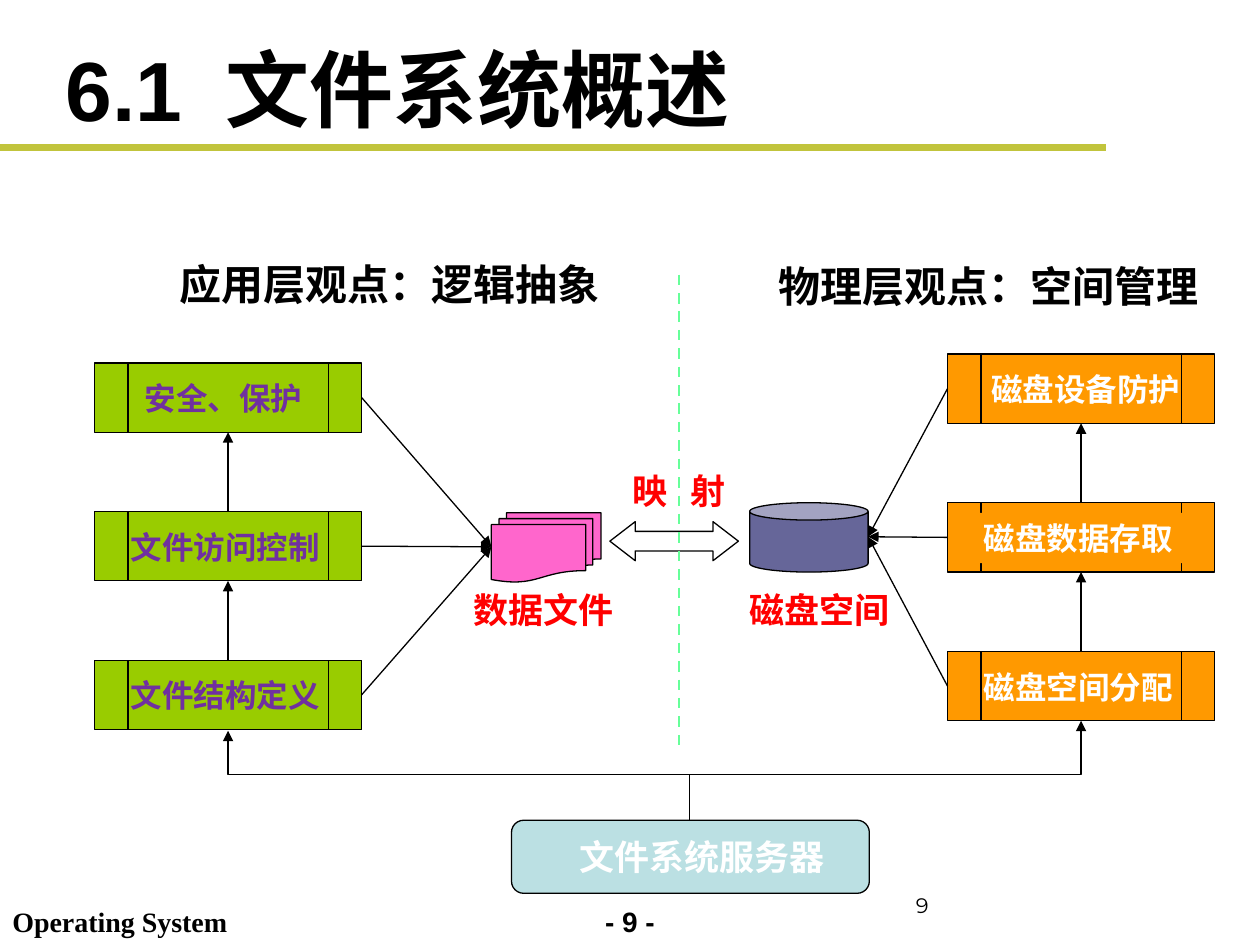
"""Build the file system overview slide: logical view, physical view and their mapping."""
from dataclasses import dataclass

from lxml.etree import SubElement
from pptx import Presentation
from pptx.dml.color import RGBColor
from pptx.enum.dml import MSO_LINE
from pptx.enum.shapes import MSO_CONNECTOR as LINK, MSO_SHAPE as SHAPE
from pptx.enum.text import MSO_ANCHOR as ANCHOR, MSO_AUTO_SIZE as FIT, PP_ALIGN as ALIGN
from pptx.oxml.ns import qn
from pptx.util import Inches, Pt


@dataclass(frozen=True)
class Theme:
    black: str = "000000"
    white: str = "FFFFFF"
    rule: str = "C1C43C"
    server: str = "BBE0E3"
    logical: str = "99CC00"
    logical_text: str = "7030A0"
    physical: str = "FF9900"
    files: str = "FF66CC"
    disk: str = "666699"
    caption: str = "FF0000"
    divider: str = "66FF99"
    title_size: int = 48
    heading_size: int = 24
    caption_size: int = 20
    step_size: int = 18
    footer_size: int = 16
    number_size: int = 12
    outline: float = 0.75


theme = Theme()
prs = Presentation()
prs.slide_width, prs.slide_height = Inches(10), Inches(7.5)
slide = prs.slides.add_slide(prs.slide_layouts[6])


def label(text, left, top, width, height, size, color, font="Arial", bold=True, tab=None):
    box = slide.shapes.add_textbox(Inches(left), Inches(top), Inches(width), Inches(height))
    frame = box.text_frame
    frame.word_wrap = False
    frame.auto_size = FIT.SHAPE_TO_FIT_TEXT
    paragraph = frame.paragraphs[0]
    paragraph.text = text
    if tab:
        stops = SubElement(paragraph._p.get_or_add_pPr(), qn("a:tabLst"))
        SubElement(stops, qn("a:tab"), pos=str(Inches(tab)), algn="l")
    paragraph.font.name, paragraph.font.size, paragraph.font.bold = font, Pt(size), bold
    paragraph.font.color.rgb = RGBColor.from_string(color)
    return box


def link(kind, begin, end, color=theme.black, width=theme.outline, arrow=True):
    line = slide.shapes.add_connector(kind, *(Inches(v) for v in (*begin, *end)))
    line.line.color.rgb = RGBColor.from_string(color)
    line.line.width = Pt(width)
    if arrow:
        SubElement(line.line._get_or_add_ln(), qn("a:tailEnd"), type="triangle")
    SubElement(line._element.spPr, qn("a:effectLst"))
    return line


page = label("- 9 -", 4.5, 7.13, 1, 0.37, theme.footer_size, theme.black)
page.text_frame.word_wrap = True
page.text_frame.paragraphs[0].alignment = ALIGN.CENTER
label("Operating System", 0, 7.13, 1.91, 0.37, theme.footer_size, theme.black, "Times New Roman")
link(LINK.STRAIGHT, (0, 1.17), (8.78, 1.17), theme.rule, 4, arrow=False)
number = label("9", 7.17, 6.83, 2.33, 0.5, theme.number_size, theme.black, "Montserrat", False)
title = label("6.1\t文件系统概述", 0.42, 0.33, 8.58, 0.74, theme.title_size, theme.black, tab=1.27)
for box, anchor in ((number, ANCHOR.BOTTOM), (title, ANCHOR.MIDDLE)):
    box.text_frame.auto_size = FIT.NONE
    box.text_frame.word_wrap = True
    box.text_frame.vertical_anchor = anchor

step_w, step_h, pitch = 2.12, 0.55, 1.18
logical_left, logical_top = 0.75, 2.88
physical_left, physical_top = 7.52, 2.81
outlined = [
    (SHAPE.FLOWCHART_ALTERNATE_PROCESS, 4.06, 6.51, 2.84, 0.58, theme.server),
    (SHAPE.FLOWCHART_MULTIDOCUMENT, 3.9, 4.07, 0.87, 0.55, theme.files),
    (SHAPE.CAN, 5.95, 3.99, 0.94, 0.55, theme.disk),
    (SHAPE.LEFT_RIGHT_ARROW, 4.84, 4.14, 1.02, 0.31, theme.white),
]
for left, top, color in (
    (logical_left, logical_top, theme.logical),
    (physical_left, physical_top, theme.physical),
):
    outlined += [
        (SHAPE.FLOWCHART_PREDEFINED_PROCESS, left, top + row * pitch, step_w, step_h, color)
        for row in range(3)
    ]
drawn = []
for kind, left, top, width, height, color in outlined:
    shape = slide.shapes.add_shape(kind, Inches(left), Inches(top), Inches(width), Inches(height))
    shape.shadow.inherit = False
    shape.fill.solid()
    shape.fill.fore_color.rgb = RGBColor.from_string(color)
    shape.line.color.rgb = RGBColor.from_string(theme.black)
    shape.line.width = Pt(theme.outline)
    drawn.append(shape)
server, files, disk, mapping = drawn[:4]
logical_steps, physical_steps = drawn[4:7], drawn[7:]
mapping.adjustments[1] = 0.65

step_columns = (
    (logical_left, logical_top, theme.logical_text,
     (("安全、保护", 0.3), ("文件访问控制", 0.19), ("文件结构定义", 0.19))),
    (physical_left, physical_top, theme.white,
     (("磁盘设备防护", 0.25), ("磁盘数据存取", 0.19), ("磁盘空间分配", 0.19))),
)
step_labels = {}
for left, top, color, steps in step_columns:
    for row, (text, indent) in enumerate(steps):
        step_labels[text] = label(
            text, left + indent, top + row * pitch + 0.08, 0.23 + 0.25 * len(text), 0.4,
            theme.step_size, color)
server_label = label("文件系统服务器", 4.5, 6.58, 2.18, 0.44, theme.caption_size, theme.white)
for box, color in ((step_labels["磁盘数据存取"], theme.physical), (server_label, theme.server)):
    box.fill.solid()
    box.fill.fore_color.rgb = RGBColor.from_string(color)

for steps, side, target in ((logical_steps, 3, (3.9, 4.34)), (physical_steps, 1, (6.89, 4.26))):
    for step in steps:
        link(LINK.STRAIGHT, target, target).begin_connect(step, side)
    for upper, lower in zip(steps, steps[1:]):
        rise = link(LINK.STRAIGHT, target, target)
        rise.begin_connect(lower, 0)
        rise.end_connect(upper, 2)

start_x, start_y, bend_y = 5.47, 6.51, 6.15
for end_x, end_y in ((1.81, 5.8), (8.58, 5.72)):
    mid_x, mid_y = (start_x + end_x) / 2, (start_y + end_y) / 2
    dx, dy = start_x - mid_x, start_y - mid_y
    elbow = link(LINK.ELBOW, (mid_x - dy, mid_y + dx), (mid_x + dy, mid_y - dx))
    properties = elbow._element.spPr
    properties.find(qn("a:xfrm")).set("rot", str(270 * 60000))
    bend = round((start_y - bend_y) / (start_y - end_y) * 100000)
    guides = properties.find(qn("a:prstGeom")).find(qn("a:avLst"))
    SubElement(guides, qn("a:gd"), name="adj1", fmla=f"val {bend}")

label("数据文件", 3.66, 4.62, 1.33, 0.44, theme.caption_size, theme.caption)
label("磁盘空间", 5.85, 4.62, 1.33, 0.44, theme.caption_size, theme.caption)
label("映\t射", 4.92, 3.68, 1, 0.44, theme.caption_size, theme.caption, tab=0.46)
divider = link(LINK.STRAIGHT, (5.39, 2.18), (5.39, 5.95), theme.divider, 1.5, arrow=False)
divider.line.dash_style = MSO_LINE.DASH
label("应用层观点：逻辑抽象", 1.33, 2, 3.59, 0.51, theme.heading_size, theme.black)
label("物理层观点：空间管理", 6.08, 2.02, 3.59, 0.51, theme.heading_size, theme.black)

prs.save("out.pptx")
